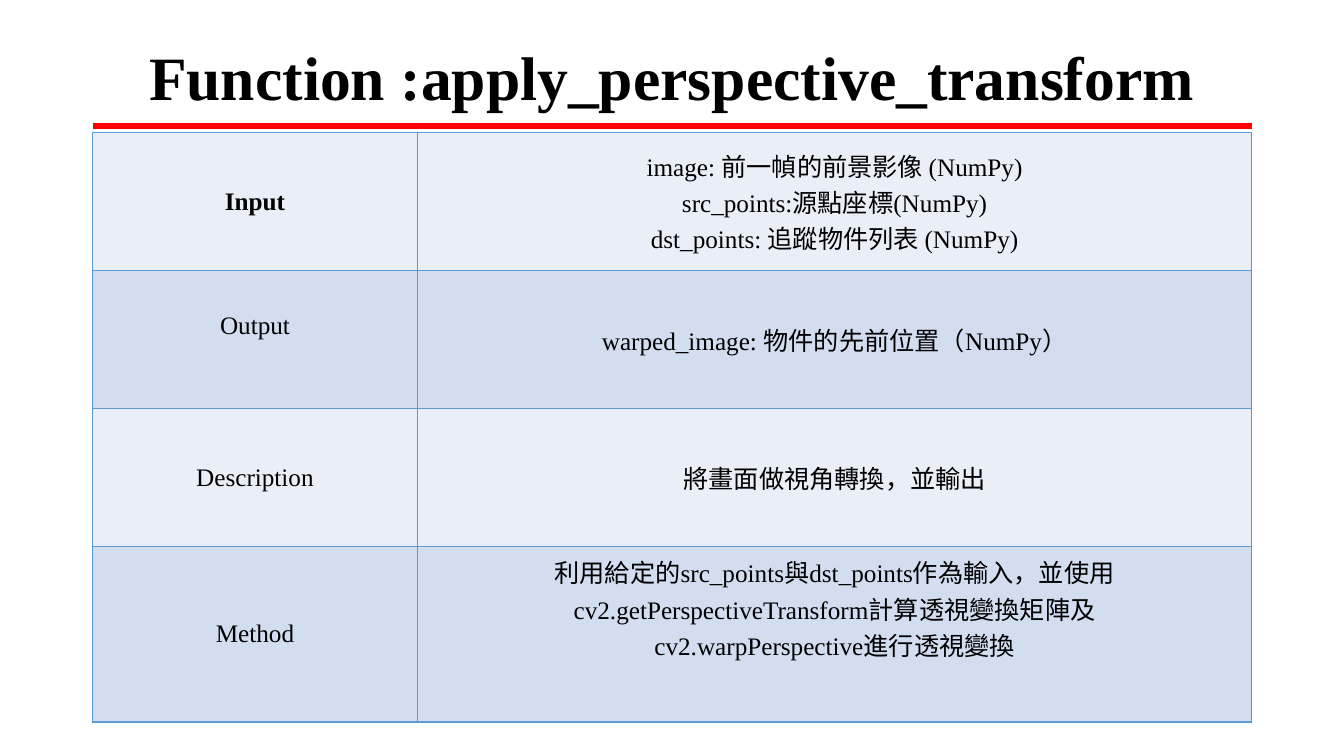
from dataclasses import dataclass

import lxml.etree
import pptx
import pptx.dml.color
import pptx.enum.shapes
import pptx.enum.text
import pptx.oxml.ns
import pptx.util

Pt = pptx.util.Pt
qn = pptx.oxml.ns.qn

COLORS = {
    "text": "000000",
    "rule": "FF0000",
    "border": "5B9BD5",
    "light": "EAEFF7",
    "dark": "D2DEEF",
}
FONT = "Times New Roman"
LEFT, WIDTH = 66.24, 828
LABEL_WIDTH = 231.84
CELL_INSET = 3.6


@dataclass(frozen=True)
class Entry:
    label: str
    details: tuple[str, ...]
    height: float = 98.64
    bold: bool = False
    label_lift: float = 0
    details_lift: float = 0


ENTRIES = [
    Entry("Input", ("image: 前一幀的前景影像 (NumPy)",
                    "src_points:源點座標(NumPy)",
                    "dst_points: 追蹤物件列表 (NumPy)"), bold=True),
    Entry("Output", ("warped_image: 物件的先前位置（NumPy）",), label_lift=20),
    Entry("Description", ("將畫面做視角轉換，並輸出",)),
    Entry("Method", ("利用給定的src_points與dst_points作為輸入，並使用"
                     "cv2.getPerspectiveTransform計算透視變換矩陣及",
                     "cv2.warpPerspective進行透視變換"),
          height=125.3, details_lift=37),
]


def rgb(name: str) -> pptx.dml.color.RGBColor:
    return pptx.dml.color.RGBColor.from_string(COLORS[name])


def write_text(frame, lines: tuple[str, ...], *, size: float = 18,
               bold: bool = False, spacing: float | None = None) -> None:
    frame.word_wrap = True
    for index, line in enumerate(lines):
        paragraph = frame.paragraphs[0] if index == 0 else frame.add_paragraph()
        paragraph.alignment = pptx.enum.text.PP_ALIGN.CENTER
        paragraph.line_spacing = spacing
        run = paragraph.add_run()
        run.text = line
        run.font.name = FONT
        run.font.size = Pt(size)
        run.font.bold = bold
        run.font.color.rgb = rgb("text")


def add_title(slide, text: str) -> None:
    title = slide.shapes.title
    title.left, title.top = Pt(LEFT), Pt(28.8)
    title.width, title.height = Pt(WIDTH), Pt(56.9)
    frame = title.text_frame
    frame.auto_size = pptx.enum.text.MSO_AUTO_SIZE.NONE
    frame.vertical_anchor = pptx.enum.text.MSO_ANCHOR.MIDDLE
    write_text(frame, (text,), size=44, bold=True, spacing=0.9)


def add_rule(slide, top: float) -> None:
    rule = slide.shapes.add_connector(
        pptx.enum.shapes.MSO_CONNECTOR.STRAIGHT,
        Pt(LEFT), Pt(top), Pt(LEFT + WIDTH), Pt(top))
    rule.line.color.rgb = rgb("rule")
    rule.line.width = Pt(4.5)
    lxml.etree.SubElement(rule._element.spPr, qn("a:effectLst"))


def format_cell(cell, fill: str, lift: float) -> None:
    properties = cell._tc.get_or_add_tcPr()
    for side in ("lnL", "lnR", "lnT", "lnB"):
        border = lxml.etree.SubElement(properties, qn(f"a:{side}"), w=str(Pt(1)))
        solid = lxml.etree.SubElement(border, qn("a:solidFill"))
        lxml.etree.SubElement(solid, qn("a:srgbClr"), val=COLORS["border"])
    cell.fill.solid()
    cell.fill.fore_color.rgb = rgb(fill)
    cell.vertical_anchor = pptx.enum.text.MSO_ANCHOR.MIDDLE
    cell.margin_bottom = Pt(CELL_INSET + lift)


def add_function_table(slide, entries: list[Entry], top: float) -> None:
    height = sum(entry.height for entry in entries)
    table = slide.shapes.add_table(
        len(entries), 2, Pt(LEFT), Pt(top), Pt(WIDTH), Pt(height)).table
    table.first_row = False
    table.horz_banding = False
    table.columns[0].width = Pt(LABEL_WIDTH)
    table.columns[1].width = Pt(WIDTH - LABEL_WIDTH)
    for index, entry in enumerate(entries):
        table.rows[index].height = Pt(entry.height)
        fill = ("light", "dark")[index % 2]
        label, details = table.cell(index, 0), table.cell(index, 1)
        format_cell(label, fill, entry.label_lift)
        format_cell(details, fill, entry.details_lift)
        write_text(label.text_frame, (entry.label,), bold=entry.bold)
        write_text(details.text_frame, entry.details)


def main() -> None:
    presentation = pptx.Presentation()
    presentation.slide_width, presentation.slide_height = Pt(960), Pt(540)
    slide = presentation.slides.add_slide(presentation.slide_layouts[5])
    add_rule(slide, 90)
    add_function_table(slide, ENTRIES, 94.6)
    add_title(slide, "Function :apply_perspective_transform")
    presentation.save("out.pptx")


if __name__ == "__main__":
    main()
